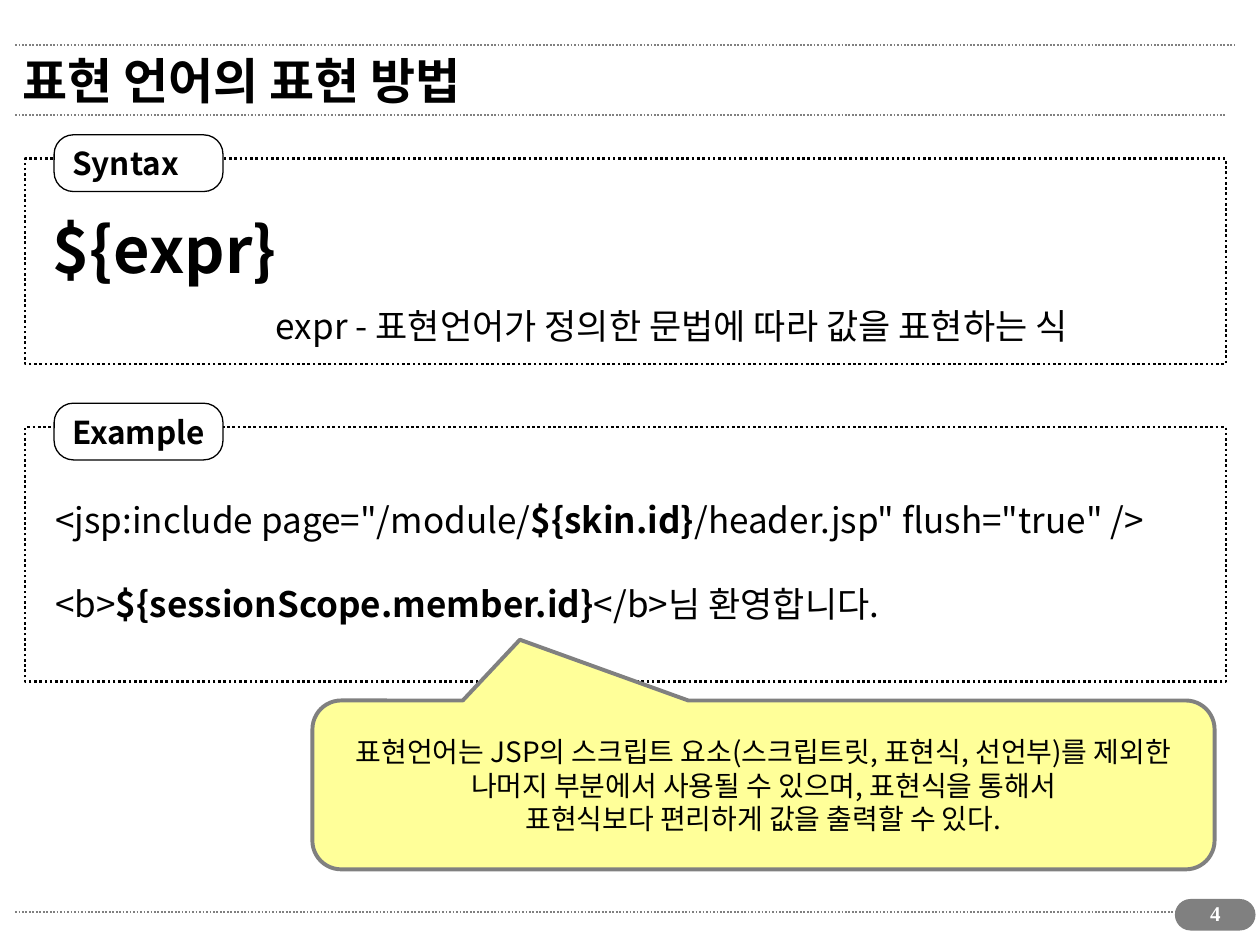
"""Build the slide that shows how the expression language is written."""
from pptx import Presentation, util as u
from pptx.dml.color import RGBColor
from pptx.enum import dml, shapes, text
from pptx.oxml.ns import qn

THEME = {
    "font": "Noto Sans CJK KR", "number_font": "Times New Roman",
    "ink": "000000", "paper": "FFFFFF", "gray": "808080", "note": "FFFF99",
    "title": 28, "formula": 36, "body": 20, "tag": 18, "callout": 16, "number": 12,
}
W, H = 10, 7.5
LEFT, PANEL_W = 0.2, 9.53
TAG_X, TAG_W, TAG_H, TAG_RISE = 0.43, 1.34, 0.45, 0.19

TITLE = "표현 언어의 표현 방법"
RULES = [(0.36, 9.8), (0.91, 9.72), (7.24, 9.73)]
PANELS = [("Syntax", 1.26, 1.63), ("Example", 3.39, 2.02)]
FORMULA = "${expr}"
MEANING = "expr - 표현언어가 정의한 문법에 따라 값을 표현하는 식"
EXAMPLES = [
    [('<jsp:include page="/module/', False), ("${skin.id}", True),
     ('/header.jsp" flush="true" />', False)],
    [("<b>", False), ("${sessionScope.member.id}", True), ("</b>님 환영합니다.", False)],
]
CALLOUT = [
    "표현언어는 JSP의 스크립트 요소(스크립트릿, 표현식, 선언부)를 "
    "제외한 나머지 부분에서 사용될 수 있으며, 표현식을 통해서",
    "표현식보다 편리하게 값을 출력할 수 있다.",
]


def rgb(name):
    return RGBColor.from_string(THEME[name])


def write(sp, paragraphs, size, font="font", color="ink", bold=False,
          center=False, middle=False, gap=0):
    tf = sp.text_frame
    tf.word_wrap = True
    tf.vertical_anchor = text.MSO_ANCHOR.MIDDLE if middle else text.MSO_ANCHOR.TOP
    if not center:
        tf.margin_right = 0
    for i, runs in enumerate(paragraphs):
        p = tf.paragraphs[0] if i == 0 else tf.add_paragraph()
        p.alignment = text.PP_ALIGN.CENTER if center else text.PP_ALIGN.LEFT
        if i and gap:
            p.space_before = u.Pt(gap)
        for words, strong in [(runs, bold)] if isinstance(runs, str) else runs:
            r = p.add_run()
            r.text = words
            r.font.size, r.font.bold = u.Pt(THEME[size]), strong
            r.font.color.rgb = rgb(color)
            r.font.name = THEME[font]
            east = r.font._element.makeelement(qn("a:ea"), {"typeface": THEME[font]})
            r.font._element.find(qn("a:latin")).addnext(east)


def add_text(s, box, paragraphs, size, **fmt):
    write(s.shapes.add_textbox(*map(u.Inches, box)), paragraphs, size, **fmt)


def add_box(s, kind, box, fill=None, line="ink", width=0.75, adj=()):
    sp = s.shapes.add_shape(kind, *map(u.Inches, box))
    sp.shadow.inherit = False
    if fill:
        sp.fill.solid()
        sp.fill.fore_color.rgb = rgb(fill)
    else:
        sp.fill.background()
    sp.line.color.rgb = rgb(line)
    sp.line.width = u.Pt(width)
    for i, value in enumerate(adj):
        sp.adjustments[i] = value
    return sp


def add_rule(s, y, right):
    ends = map(u.Inches, (0.12, y, right, y))
    line = s.shapes.add_connector(shapes.MSO_CONNECTOR.STRAIGHT, *ends)
    line.line.color.rgb = rgb("gray")
    line.line.width = u.Pt(1)
    line.line.dash_style = dml.MSO_LINE.ROUND_DOT
    props = line._element.spPr
    props.append(props.makeelement(qn("a:effectLst"), {}))


def add_panel(s, label, top, height):
    panel = add_box(s, shapes.MSO_SHAPE.RECTANGLE, (LEFT, top, PANEL_W, height), width=1.5)
    panel.line.dash_style = dml.MSO_LINE.ROUND_DOT
    tag = add_box(s, shapes.MSO_SHAPE.ROUNDED_RECTANGLE,
                  (TAG_X, top - TAG_RISE, TAG_W, TAG_H), fill="paper", adj=[0.34])
    write(tag, [label], "tag", bold=True, middle=True)


def main():
    prs = Presentation()
    prs.slide_width, prs.slide_height = u.Inches(W), u.Inches(H)
    s = prs.slides.add_slide(prs.slide_layouts[6])
    for y, right in RULES:
        add_rule(s, y, right)
    add_box(s, shapes.MSO_SHAPE.ROUNDED_RECTANGLE, (9.33, 7.14, 0.63, 0.24),
            fill="gray", line="gray", adj=[0.5])
    add_text(s, (0.08, 0.28, 9.1, 0.71), [TITLE], "title", bold=True, middle=True)
    for panel in PANELS:
        add_panel(s, *panel)
    add_text(s, (0.32, 1.62, 2.3, 0.7), [FORMULA], "formula", bold=True)
    add_text(s, (2.09, 2.37, 7.44, 0.44), [MEANING], "body")
    add_text(s, (0.34, 3.91, 8.84, 1.1), EXAMPLES, "body", gap=24)
    note = add_box(s, shapes.MSO_SHAPE.ROUNDED_RECTANGULAR_CALLOUT,
                   (2.48, 5.56, 7.16, 1.34), fill="note", line="gray",
                   width=2.25, adj=[-0.27, -0.86, 0.17])
    write(note, CALLOUT, "callout", center=True, middle=True)
    add_text(s, (9.37, 7.1, 0.55, 0.34), ["4"], "number", font="number_font",
             color="paper", bold=True, center=True)
    prs.save("out.pptx")


if __name__ == "__main__":
    main()
